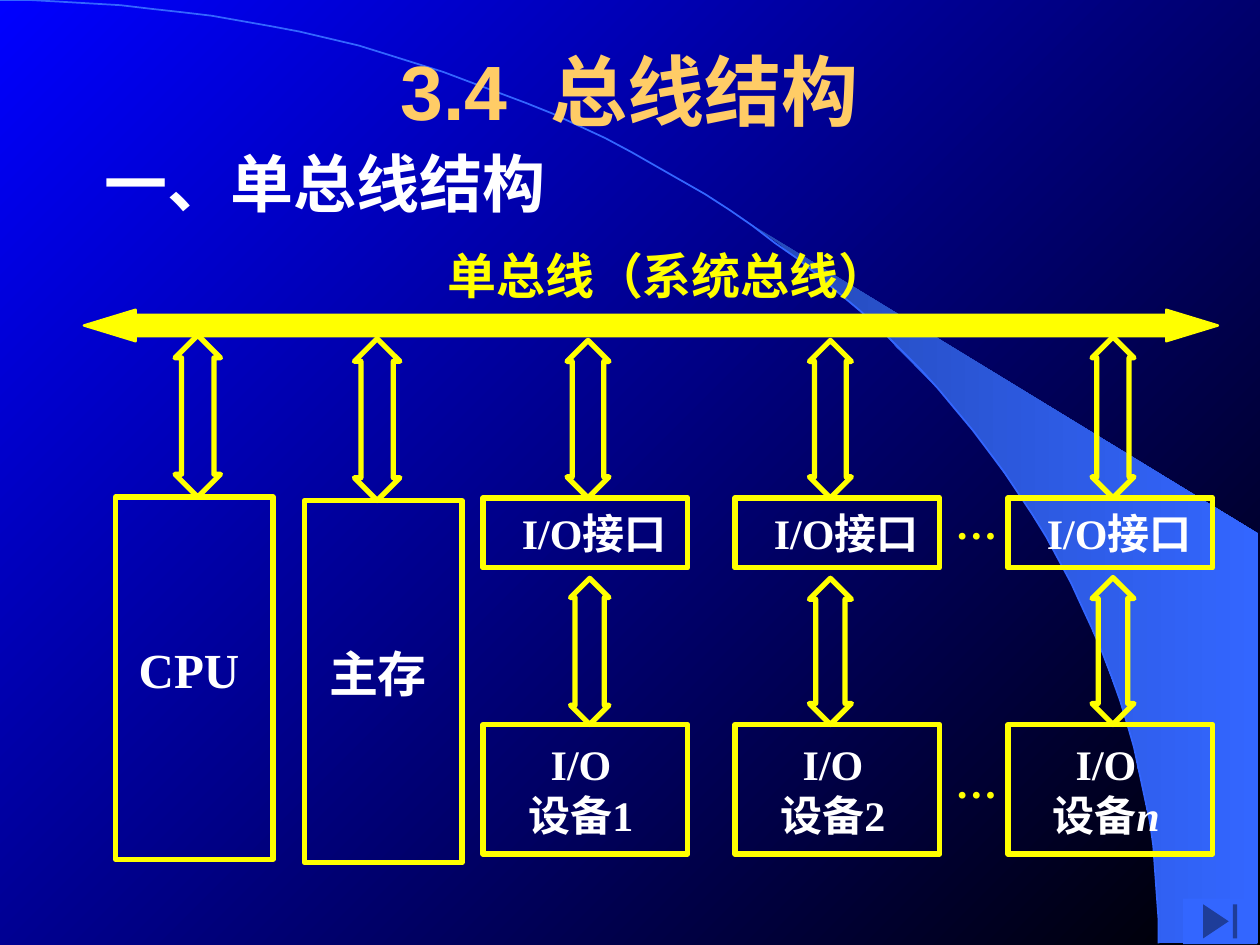
from dataclasses import dataclass
from math import asin, cos, pi, sin

from pptx import Presentation
from pptx.dml.color import RGBColor as RGB
from pptx.enum.shapes import MSO_SHAPE as SHAPE
from pptx.enum.text import MSO_ANCHOR as ANCHOR, PP_ALIGN as ALIGN
from pptx.oxml.ns import qn
from pptx.util import Pt
from lxml.etree import SubElement


@dataclass(frozen=True)
class Theme:
    white: RGB = RGB.from_string("FFFFFF")
    yellow: RGB = RGB.from_string("FFFF00")
    gold: RGB = RGB.from_string("FFCC66")
    blue: RGB = RGB.from_string("3366FF")
    wedge: RGB = RGB.from_string("2449B6")
    sky: RGB = RGB.from_string("0000FF")
    black: RGB = RGB.from_string("000000")
    latin: str = "Times New Roman"
    sans: str = "Arial"
    cjk: str = "Noto Sans CJK SC"
    title: int = 44
    heading: int = 36
    label: int = 28
    small: int = 24


T = Theme()

prs = Presentation()
prs.slide_width, prs.slide_height = Pt(720), Pt(540)
s = prs.slides.add_slide(prs.slide_layouts[6])


def write(sp, text, size, color, font=T.latin, insets=(0, 0, 0, 0), align=ALIGN.LEFT, anchor=ANCHOR.TOP):
    """Fill a shape with bold text; insets run left, top, right, bottom."""
    tf = sp.text_frame
    tf.text = text
    tf.word_wrap, tf.vertical_anchor = True, anchor
    tf.margin_left, tf.margin_top, tf.margin_right, tf.margin_bottom = map(Pt, insets)
    for p in tf.paragraphs:
        p.alignment = align
        for r in p.runs:
            r.font.name, r.font.size, r.font.bold = font, Pt(size), True
            r.font.color.rgb = color
            SubElement(r.font._element, qn("a:ea")).set("typeface", T.cjk)
    return tf


def outline(kind, x, y, w, h):
    """Add an unfilled preset shape with a yellow line."""
    sp = s.shapes.add_shape(kind, Pt(x), Pt(y), Pt(w), Pt(h))
    sp.shadow.inherit = False
    sp.fill.background()
    sp.line.color.rgb, sp.line.width = T.yellow, Pt(3)
    return sp


# Background: diagonal gradient, a quarter ellipse and the wedge outside it
bg = s.background.fill
bg.gradient()
bg.gradient_angle = 315
bg.gradient_stops[0].color.rgb, bg.gradient_stops[1].color.rgb = T.sky, T.black

RX, RY, STEPS = 662.4, 539.3, 60
WEDGE_X, WEDGE_RIGHT, WEDGE_TOP = 424, 719.3, 304.6
curves = []
for start in (asin(WEDGE_X / RX), 0):
    angles = [start + (pi / 2 - start) * i / STEPS for i in range(STEPS + 1)]
    curves.append([(RX * sin(a), RY * (1 - cos(a))) for a in angles])
wedge_curve, arc_curve = curves

fb = s.shapes.build_freeform(*wedge_curve[0], scale=Pt(1))
fb.add_line_segments(wedge_curve[1:] + [(WEDGE_RIGHT, RY), (WEDGE_RIGHT, WEDGE_TOP)], close=True)
wedge = fb.convert_to_shape()
wedge.shadow.inherit = False
wedge.line.fill.background()
wedge.fill.gradient()
wedge.fill.gradient_angle = 0
stops = wedge.fill.gradient_stops
stops[0].color.rgb, stops[1].color.rgb = T.wedge, T.blue

fb = s.shapes.build_freeform(*arc_curve[0], scale=Pt(1))
fb.add_line_segments(arc_curve[1:], close=False)
arc = fb.convert_to_shape()
arc.shadow.inherit = False
arc.fill.background()
arc.line.color.rgb, arc.line.width = T.blue, Pt(1)

# Headings
title = s.shapes.add_textbox(Pt(54), Pt(6), Pt(612), Pt(90))
write(title, "3.4  总线结构", T.title, T.gold, T.sans, (7.2, 3.6, 7.2, 3.6), ALIGN.CENTER, ANCHOR.MIDDLE)
heading = s.shapes.add_textbox(Pt(52.5), Pt(79), Pt(361.5), Pt(50.5))
write(heading, "一、单总线结构", T.heading, T.white, insets=(7.2, 3.6, 7.2, 3.6))

# Bus
bus_label = s.shapes.add_textbox(Pt(255.6), Pt(140.4), Pt(253.4), Pt(34))
write(bus_label, "单总线（系统总线）", T.label, T.yellow, T.cjk).word_wrap = False
bus = outline(SHAPE.LEFT_RIGHT_ARROW, 48, 177, 648, 18)
bus.adjustments[0], bus.adjustments[1] = 0.68, 1.64
bus.fill.solid()
bus.fill.fore_color.rgb = T.yellow
bus.line.width = Pt(1.38)

# CPU and main memory
for x, y, text in ((66, 284, "CPU"), (174, 286, "主存")):
    box = outline(SHAPE.RECTANGLE, x, y, 90, 207)
    write(box, text, T.label, T.white, insets=(0, 0, 6, 10), align=ALIGN.CENTER, anchor=ANCHOR.MIDDLE)

# I/O interfaces and devices
IO_W, PORT_Y, PORT_H, DEVICE_Y, DEVICE_H = 117, 284.5, 40, 414, 74
for x, number in ((276, "1"), (420, "2"), (576, "n")):
    port = outline(SHAPE.RECTANGLE, x, PORT_Y, IO_W, PORT_H)
    write(port, "I/O接口", T.small, T.white, insets=(10, 0, 0, 0), align=ALIGN.CENTER, anchor=ANCHOR.MIDDLE)
    device = outline(SHAPE.RECTANGLE, x, DEVICE_Y, IO_W, DEVICE_H)
    tf = write(device, "I/O\n设备" + number, T.small, T.white, insets=(0, 0, 5, 0),
               align=ALIGN.CENTER, anchor=ANCHOR.MIDDLE)
    for p in tf.paragraphs:
        p.line_spacing = Pt(29)
    if number == "n":
        first = tf.paragraphs[1].runs[0]
        first.text = "设备"
        r = tf.paragraphs[1].add_run()
        r.text = number
        r.font.name, r.font.size = T.latin, Pt(T.small)
        r.font.bold = r.font.italic = True
        r.font.color.rgb = T.white

# Double arrows: centre x, top, width, bottom
ARROWS = (
    (113, 191.5, 26, 284), (215.5, 193.5, 26, 286),
    (336, 194.5, 24, PORT_Y), (474.5, 194.5, 24, PORT_Y), (636, 192.5, 24, PORT_Y),
    (337, 330.5, 22, DEVICE_Y), (474.5, 330.5, 24, DEVICE_Y), (636, 330, 24, DEVICE_Y),
)
for cx, top, w, bottom in ARROWS:
    h = bottom - top
    arrow = outline(SHAPE.UP_DOWN_ARROW, cx - w / 2, top, w, h)
    arrow.adjustments[0], arrow.adjustments[1] = 0.5, 0.2 * h / w

for y, w in ((284.5, 30), (432, 42)):
    dots = s.shapes.add_textbox(Pt(546), Pt(y), Pt(w), Pt(29))
    write(dots, "…", T.small, T.yellow)

# Button to the last slide
button = s.shapes.add_shape(SHAPE.ACTION_BUTTON_END, Pt(676), Pt(513.5), Pt(42.5), Pt(26))
button.shadow.inherit = False
button.fill.solid()
button.fill.fore_color.rgb = T.blue
button.line.fill.background()

prs.save("out.pptx")
